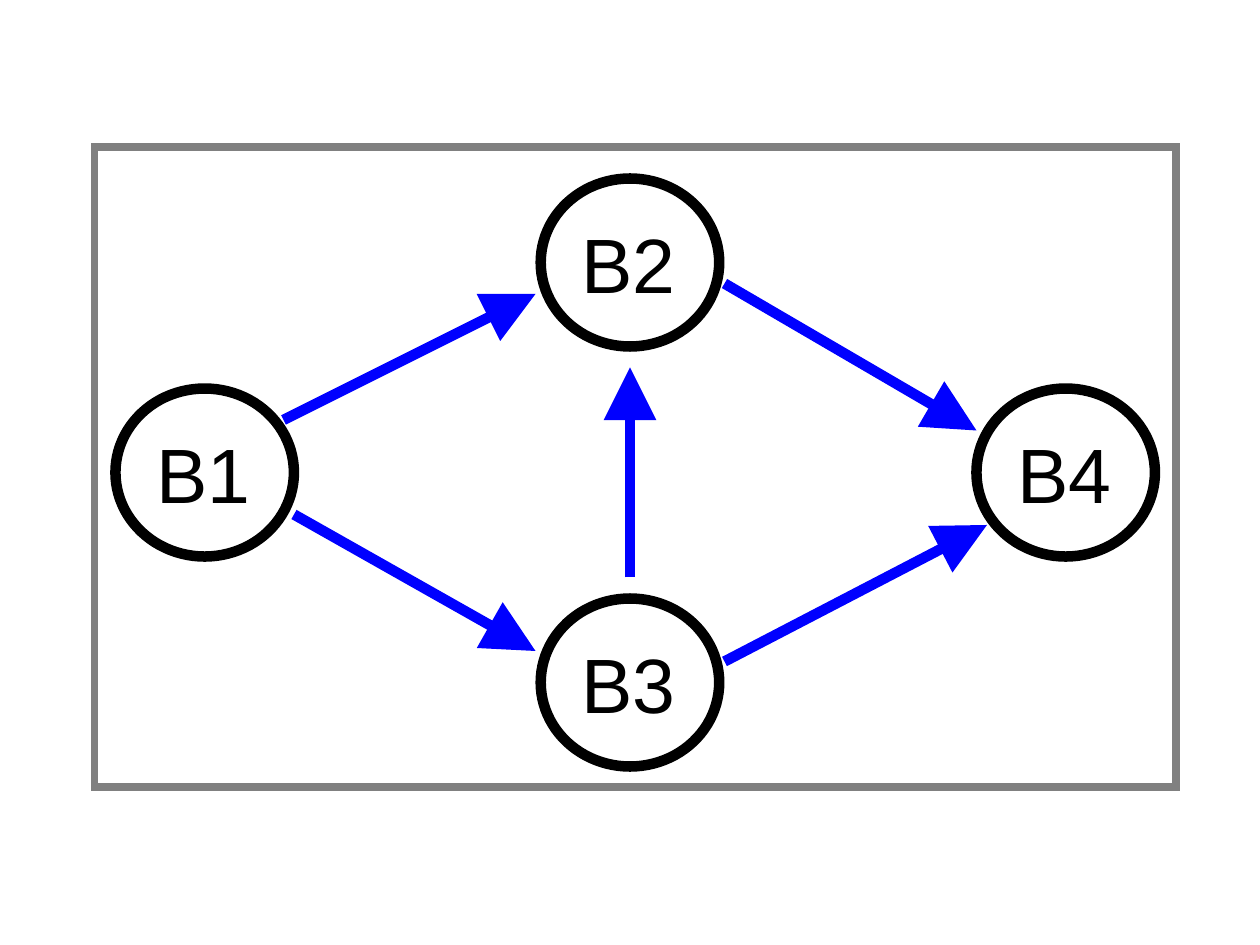
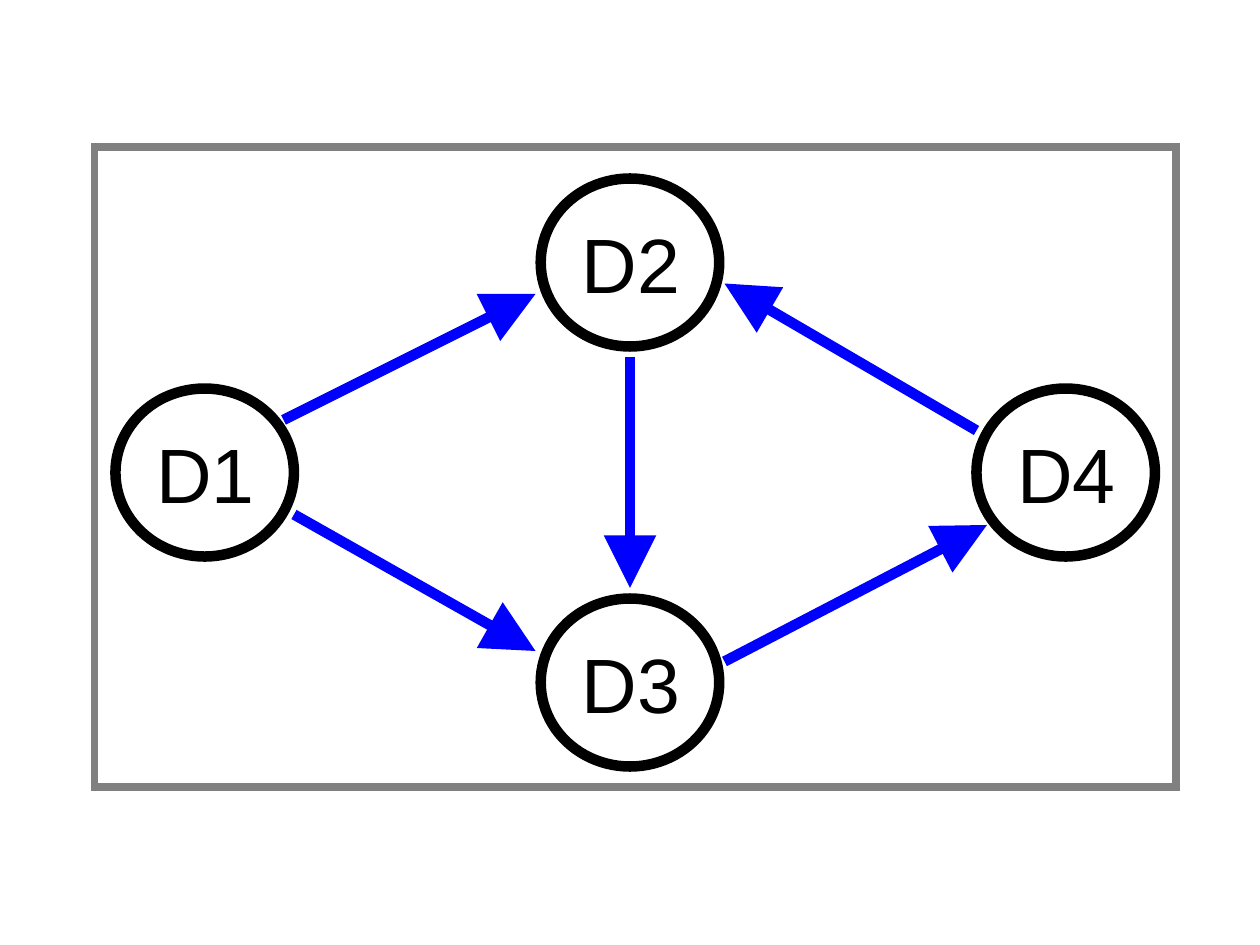
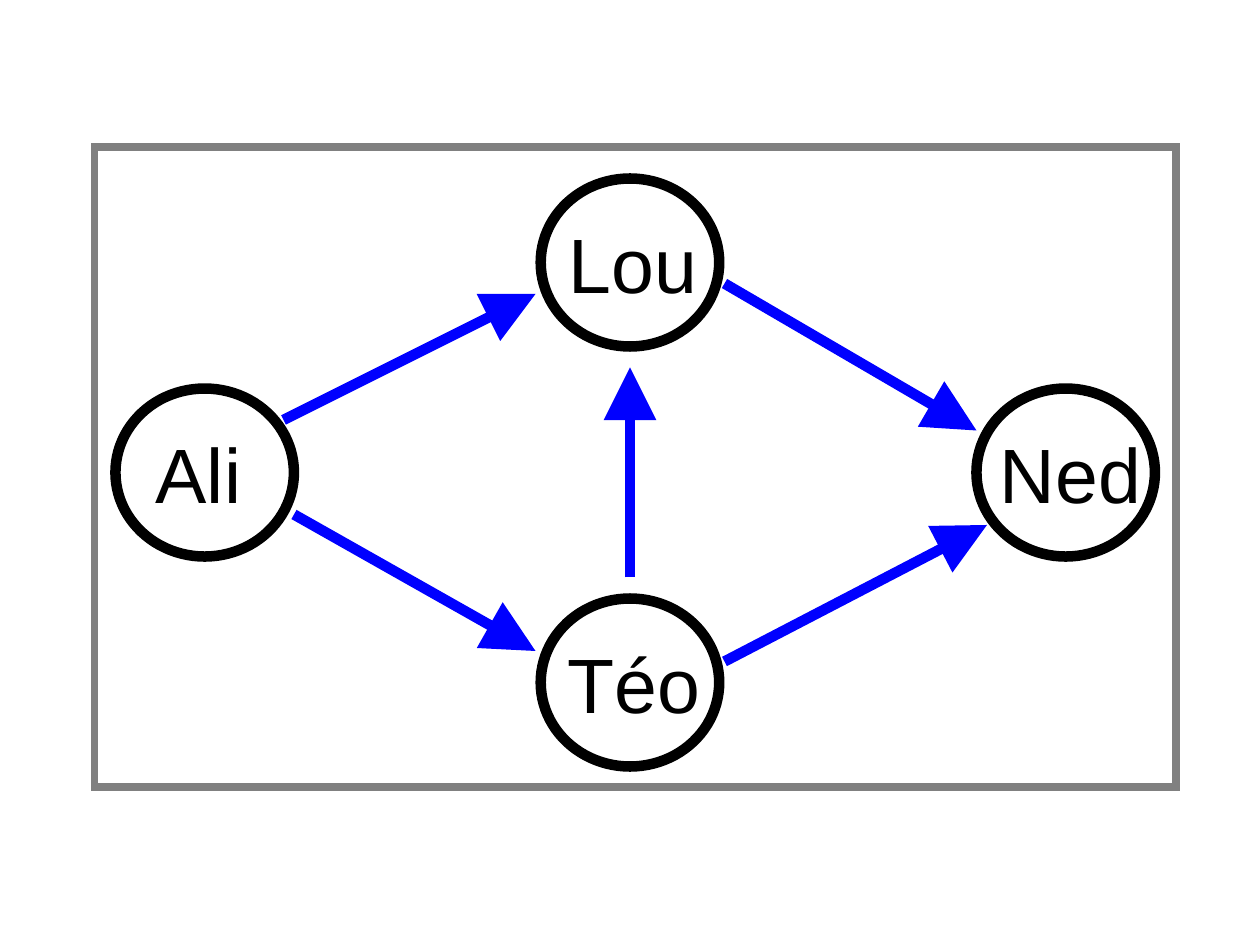
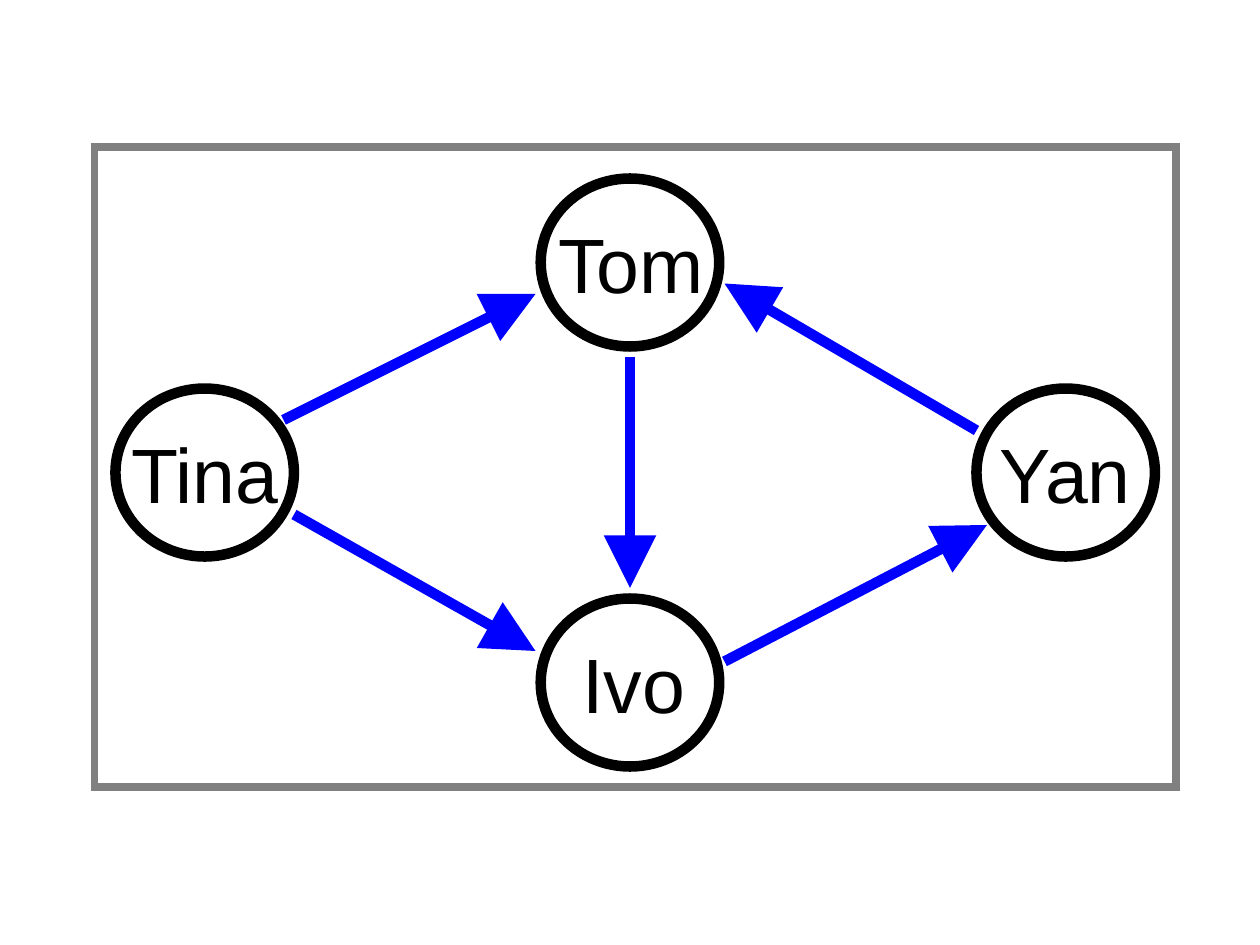
"""Builds four directed graphs, each with four labelled nodes in a frame."""
from lxml import etree
from pptx import Presentation
from pptx.dml.color import RGBColor
from pptx.enum.shapes import MSO_CONNECTOR, MSO_SHAPE
from pptx.enum.text import MSO_ANCHOR, MSO_AUTO_SIZE, PP_ALIGN
from pptx.oxml.ns import qn
from pptx.util import Inches, Pt

OVAL = MSO_SHAPE.OVAL
RECTANGLE = MSO_SHAPE.RECTANGLE
STRAIGHT = MSO_CONNECTOR.STRAIGHT
TOP = MSO_ANCHOR.TOP
GROW = MSO_AUTO_SIZE.SHAPE_TO_FIT_TEXT
LEFT = PP_ALIGN.LEFT

BLACK = RGBColor(0x00, 0x00, 0x00)
BLUE = RGBColor(0x00, 0x00, 0xFF)
GRAY = RGBColor(0x80, 0x80, 0x80)
FONT = "Arial"
LABEL_SIZE = 44
STROKE = 6
FRAME_STROKE = 4.5

COLUMNS, ROWS = 120, 90
BLANK_LAYOUT = 6
NODE_WIDTH, NODE_HEIGHT = 17, 16
LABEL_DROP, LABEL_HEIGHT = 3, 10.1
FRAME = (9, 14, 103, 61)

WEST, EAST, NORTH, SOUTH = (11, 37), (93, 37), (51.5, 17), (51.5, 57)
NODE_ORDER = (WEST, EAST, NORTH, SOUTH)
LABEL_ORDER = (WEST, NORTH, SOUTH, EAST)

WEST_NORTH = ((27, 40), (51, 28))
SOUTH_EAST = ((69, 63), (94, 50))
NORTH_EAST = ((69, 27), (93, 41))
WEST_SOUTH = ((28, 49), (51, 62))
SOUTH_NORTH = ((60, 55), (60, 35))
NORTH_SOUTH = ((60, 34), (60, 56))

AT_START, AT_END = "headEnd", "tailEnd"
PATH_GRAPH = (AT_END, SOUTH_NORTH)
CYCLE_GRAPH = (AT_START, NORTH_SOUTH)


def numbered(letter, width):
    """Return four labels made of a letter and a number, with inset and width."""
    return [(f"{letter}{number}", 2.7, width) for number in range(1, 5)]


GRAPHS = (
    (numbered("B", 11.45), PATH_GRAPH),
    (numbered("D", 11.8), CYCLE_GRAPH),
    ([("Ali", 2.65, 10.6), ("Lou", 1.5, 14.7),
      ("Téo", 1.4, 15.2), ("Ned", 1.05, 15.9)], PATH_GRAPH),
    ([("Tina", 0.3, 16.75), ("Tom", 0.5, 17.1),
      ("Ivo", 2.8, 12.3), ("Yan", 1, 15.55)], CYCLE_GRAPH),
)


class GraphDeck:
    """Holds the presentation, its grid and the current slide."""

    def __init__(self):
        """Start an empty deck of 10 by 7.5 inches."""
        self.deck = Presentation()
        self.deck.slide_width = Inches(10)
        self.deck.slide_height = Inches(7.5)
        self.slide = None

    def new_slide(self):
        """Add a blank slide and make it current."""
        self.slide = self.deck.slides.add_slide(self.deck.slide_layouts[BLANK_LAYOUT])

    def place(self, column, row):
        """Turn a grid pair into slide lengths."""
        return (round(self.deck.slide_width * column / COLUMNS),
                round(self.deck.slide_height * row / ROWS))

    def stroke(self, drawn, color, width):
        """Style the line of a shape or connector and return its XML."""
        drawn.line.color.rgb = color
        drawn.line.width = Pt(width)
        return drawn.element.spPr.find(qn("a:ln"))

    def outline(self, kind, column, row, width, height, color, weight):
        """Draw an unfilled preset shape with sharp corners."""
        shape = self.slide.shapes.add_shape(
            kind, *self.place(column, row), *self.place(width, height))
        shape.shadow.inherit = False
        shape.fill.background()
        etree.SubElement(self.stroke(shape, color, weight), qn("a:miter"), lim="800000")

    def node(self, column, row):
        """Draw the ring of a node."""
        self.outline(OVAL, column, row, NODE_WIDTH, NODE_HEIGHT, BLACK, STROKE)

    def frame(self):
        """Draw the border around the graph."""
        self.outline(RECTANGLE, *FRAME, GRAY, FRAME_STROKE)

    def label(self, text, column, row, width):
        """Write the name of a node."""
        box = self.slide.shapes.add_textbox(
            *self.place(column, row), *self.place(width, LABEL_HEIGHT))
        body = box.text_frame
        body.word_wrap = False
        body.auto_size = GROW
        body.vertical_anchor = TOP
        paragraph = body.paragraphs[0]
        paragraph.alignment = LEFT
        run = paragraph.add_run()
        run.text = text
        run.font.name = FONT
        run.font.size = Pt(LABEL_SIZE)
        run.font.color.rgb = BLACK

    def arrow(self, start, end, tip=AT_END):
        """Draw an edge with a large arrowhead at one end."""
        edge = self.slide.shapes.add_connector(
            STRAIGHT, *self.place(*start), *self.place(*end))
        line = self.stroke(edge, BLUE, STROKE)
        etree.SubElement(line, qn(f"a:{tip}"), type="triangle", w="lg", len="lg")
        etree.SubElement(edge.element.spPr, qn("a:effectLst"))

    def graph(self, labels, north_east_tip, middle_edge):
        """Draw one complete graph on a new slide."""
        self.new_slide()
        for corner in NODE_ORDER:
            self.node(*corner)
        for (text, inset, width), (column, row) in zip(labels, LABEL_ORDER):
            self.label(text, column + inset, row + LABEL_DROP, width)
        self.arrow(*WEST_NORTH)
        self.arrow(*SOUTH_EAST)
        self.arrow(*NORTH_EAST, north_east_tip)
        self.arrow(*WEST_SOUTH)
        self.arrow(*middle_edge)
        self.frame()


def main():
    """Build and save the deck."""
    graphs = GraphDeck()
    for labels, (north_east_tip, middle_edge) in GRAPHS:
        graphs.graph(labels, north_east_tip, middle_edge)
    graphs.deck.save("out.pptx")


if __name__ == "__main__":
    main()
